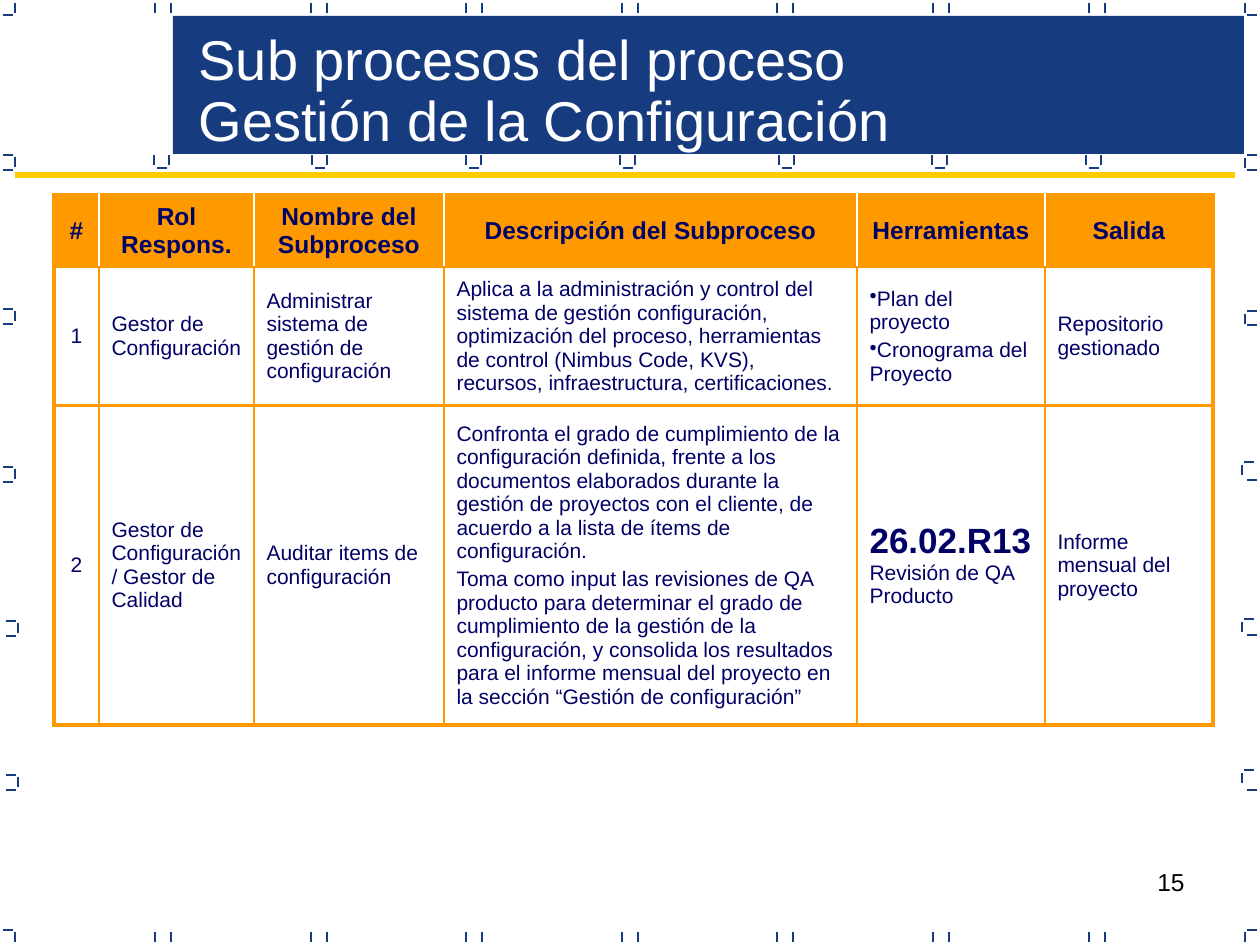
import dataclasses

import pptx
import pptx.dml.color
import pptx.enum.shapes
import pptx.enum.text
import pptx.oxml
import pptx.util
import pptx.oxml.ns
import lxml.etree

ALIGN = pptx.enum.text.PP_ALIGN
ANCHOR = pptx.enum.text.MSO_ANCHOR


@dataclasses.dataclass(frozen=True)
class Theme:
    """Colours, font and type sizes of the slide."""
    font: str = "Arial"
    navy: str = "163B7F"
    yellow: str = "FFCC00"
    orange: str = "FF9900"
    ink: str = "000066"
    white: str = "FFFFFF"
    black: str = "000000"
    title: int = 32
    code: int = 20
    heading: int = 14
    body: int = 12


THEME = Theme()


def px(value):
    """Turn picture pixels into EMU."""
    return pptx.util.Emu(round(value * 914400 / 126))


def rgb(value):
    """Turn a hex string into a colour."""
    return pptx.dml.color.RGBColor.from_string(value)


class Deck:
    """Holds the theme and the current slide and draws its elements."""

    def __init__(self, theme):
        """Open a presentation with one title-only slide."""
        self.theme = theme
        self.presentation = pptx.Presentation()
        self.presentation.slide_width = px(1260)
        self.presentation.slide_height = px(945)
        self.slide = self.presentation.slides.add_slide(self.presentation.slide_layouts[5])

    def format(self, paragraph, size, color, align=ALIGN.LEFT, bold=False):
        """Set the font and alignment of a paragraph."""
        paragraph.alignment = align
        font = paragraph.font
        font.name, font.size, font.bold = self.theme.font, pptx.util.Pt(size), bold
        font.color.rgb = rgb(color)

    def line(self, x1, y1, x2, y2, color, width):
        """Draw a straight line."""
        connector = self.slide.shapes.add_connector(
            pptx.enum.shapes.MSO_CONNECTOR.STRAIGHT, px(x1), px(y1), px(x2), px(y2))
        connector.line.color.rgb = rgb(color)
        connector.line.width = pptx.util.Pt(width)
        lxml.etree.SubElement(connector._element.spPr, pptx.oxml.ns.qn("a:effectLst"))

    def tick(self, x, y, dx=0, dy=0):
        """Draw one short frame mark."""
        self.line(x, y, x + dx, y + dy, self.theme.navy, 0.75)

    def rectangle(self, x, y, width, height, color):
        """Draw a filled rectangle without outline."""
        shape = self.slide.shapes.add_shape(
            pptx.enum.shapes.MSO_SHAPE.RECTANGLE, px(x), px(y), px(width), px(height))
        shape.shadow.inherit = False
        shape.fill.solid()
        shape.fill.fore_color.rgb = rgb(color)
        shape.line.fill.background()

    def title(self, x, y, width, height, lines):
        """Place the title in front of the banner."""
        shape = self.slide.shapes.title
        shape.left, shape.top, shape.width, shape.height = px(x), px(y), px(width), px(height)
        self.slide.shapes._spTree.append(shape._element)
        frame = shape.text_frame
        frame.vertical_anchor = ANCHOR.MIDDLE
        frame.auto_size = pptx.enum.text.MSO_AUTO_SIZE.NONE
        frame.text = "\n".join(lines)
        for paragraph in frame.paragraphs:
            self.format(paragraph, self.theme.title, self.theme.white)
            paragraph.line_spacing = 0.9

    def text(self, x, y, width, height, text, size, color, align):
        """Write a plain text box."""
        frame = self.slide.shapes.add_textbox(px(x), px(y), px(width), px(height)).text_frame
        frame.word_wrap = True
        frame.text = text
        self.format(frame.paragraphs[0], size, color, align)

    def borders(self, cell, sides):
        """Set cell borders from a map of side to colour and width."""
        properties = cell._tc.get_or_add_tcPr()
        for side in "LRTB":
            color, width = sides[side]
            properties.append(pptx.oxml.parse_xml(
                f'<a:ln{side} xmlns:a="http://schemas.openxmlformats.org/drawingml/2006/main" '
                f'w="{pptx.util.Pt(width)}"><a:solidFill><a:srgbClr val="{color}"/>'
                f'</a:solidFill></a:ln{side}>'))

    def cell(self, cell, content, header, centred):
        """Fill a cell with paragraphs, each a string or a list of runs."""
        theme = self.theme
        size = theme.heading if header else theme.body
        cell.vertical_anchor = ANCHOR.MIDDLE
        if header:
            cell.fill.solid()
            cell.fill.fore_color.rgb = rgb(theme.orange)
        else:
            cell.fill.background()
        for index, text in enumerate(content):
            frame = cell.text_frame
            paragraph = frame.add_paragraph() if index else frame.paragraphs[0]
            self.format(paragraph, size, theme.ink, ALIGN.CENTER if centred else ALIGN.LEFT, header)
            paragraph.space_before = pptx.util.Pt(size * 0.2)
            if text.startswith("•"):
                bullet = lxml.etree.Element(pptx.oxml.ns.qn("a:buChar"), char="•")
                paragraph._p.pPr.find(pptx.oxml.ns.qn("a:defRPr")).addprevious(bullet)
            code, mark, rest = text.lstrip("•").rpartition("|")
            if mark:
                run = paragraph.add_run()
                run.text = code
                run.font.size, run.font.bold = pptx.util.Pt(theme.code), True
            paragraph.add_run().text = rest

    def table(self, x, y, widths, heights, rows):
        """Draw the table with a filled heading row and a heavier outer border."""
        theme = self.theme
        table = self.slide.shapes.add_table(
            len(rows), len(widths), px(x), px(y), px(sum(widths)), px(sum(heights))).table
        table.first_row = table.horz_banding = False
        for column, width in zip(table.columns, widths):
            column.width = px(width)
        for row, height in zip(table.rows, heights):
            row.height = px(height)
        outer = (theme.orange, 2.25)
        last_row, last_column = len(rows) - 1, len(widths) - 1
        for r, row in enumerate(rows):
            inner = (theme.orange, 1.5)
            upright = inner if r else (theme.white, 1)
            for c, content in enumerate(row):
                cell = table.cell(r, c)
                self.borders(cell, {
                    "L": upright if c else outer,
                    "R": upright if c < last_column else outer,
                    "T": inner if r else outer,
                    "B": inner if r < last_row else outer})
                self.cell(cell, content, r == 0, r == 0 or c == 0)


ROWS = [
    [["#"], ["Rol Respons."], ["Nombre del Subproceso"], ["Descripción del Subproceso"],
     ["Herramientas"], ["Salida"]],
    [["1"], ["Gestor de Configuración"], ["Administrar sistema de gestión de configuración"],
     ["Aplica a la administración y control del sistema de gestión configuración, optimización "
      "del proceso, herramientas de control (Nimbus Code, KVS), recursos, infraestructura, "
      "certificaciones."],
     ["•Plan del proyecto", "•Cronograma del Proyecto"], ["Repositorio gestionado"]],
    [["2"], ["Gestor de Configuración/ Gestor de Calidad"], ["Auditar items de configuración"],
     ["Confronta el grado de cumplimiento de la configuración definida, frente a los documentos "
      "elaborados durante la gestión de proyectos con el cliente, de acuerdo a la lista de ítems "
      "de configuración.",
      "Toma como input las revisiones de QA producto para determinar el grado de cumplimiento de "
      "la gestión de la configuración, y consolida los resultados para el informe mensual del "
      "proyecto en la sección “Gestión de configuración”"],
     ["26.02.R13| Revisión de QA Producto"], ["Informe mensual del proyecto"]],
]

deck = Deck(THEME)
deck.text(903, 861, 294, 66, "15", THEME.heading, THEME.black, ALIGN.RIGHT)

for column in range(7):
    for x in (155, 171):
        for y in (3, 932):
            deck.tick(x + round(155.6 * column), y, dy=10)
for x in (154, 312, 466, 620, 779, 932, 1086):
    deck.tick(x, 155, dy=10)
    deck.tick(x + 15, 155, dy=10)
    deck.tick(x + 3, 168, dx=10)
for upright, level in ((15, 3), (1245, 1247)):
    for y, level_y in ((3, 15), (932, 930)):
        deck.tick(upright, y, dy=10)
        deck.tick(level, level_y, dx=10)
for x, top in ((15, 155), (15, 309), (15, 467), (18, 621), (18, 775)):
    deck.tick(x, top + 2, dy=10)
    for y in (top, top + 15):
        deck.tick(x - 12, y, dx=10)
for x, top, bottom in ((1245, 155, 170), (1245, 311, 325), (1242, 462, 480),
                       (1242, 619, 635), (1242, 770, 790)):
    deck.tick(x, top + 3, dy=10)
    deck.tick(x + 2, top, dx=10)
    deck.tick(1247, bottom, dx=10)

deck.rectangle(173, 16, 1071, 138, THEME.navy)
deck.table(54, 195, (45, 155, 190, 413, 188, 168), (72, 138, 299), ROWS)
deck.title(186, 26, 1048, 134, ("Sub procesos del proceso", "Gestión de la Configuración"))
deck.line(15, 175, 1235, 175, THEME.yellow, 3)
deck.presentation.save("out.pptx")
